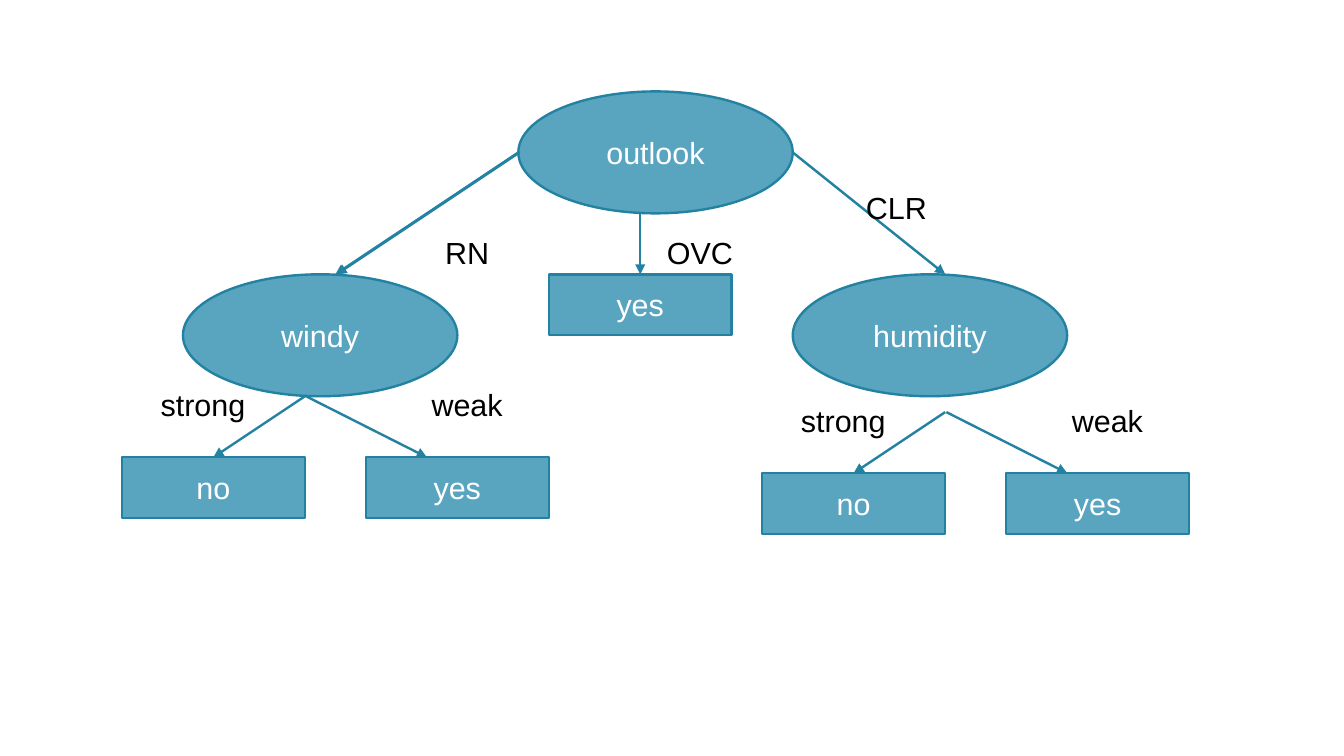
import dataclasses

import pptx
import pptx.dml.color
import pptx.enum.shapes
import pptx.enum.text
import pptx.oxml.ns
import pptx.util
from lxml import etree

FILL, EDGE, WHITE, BLACK = "59A5BF", "2382A1", "FFFFFF", "000000"
OVAL = pptx.enum.shapes.MSO_SHAPE.OVAL
RECT = pptx.enum.shapes.MSO_SHAPE.RECTANGLE
SIZES = {OVAL: (2.25, 1), RECT: (1.5, 0.5)}


# All tree positions are in inches
@dataclasses.dataclass
class Node:
    text: str
    kind: int
    left: float
    top: float


@dataclasses.dataclass
class Label:
    text: str
    left: float
    top: float
    width: float


@dataclasses.dataclass
class Arrow:
    x1: float
    y1: float
    x2: float
    y2: float


def size(inch: float) -> int:
    return pptx.util.Cm(inch * 2.54)


def color(code: str) -> pptx.dml.color.RGBColor:
    return pptx.dml.color.RGBColor.from_string(code)


def set_text(shape, text: str, code: str) -> None:
    frame = shape.text_frame
    frame.text = text
    frame.word_wrap = False
    para = frame.paragraphs[0]
    para.alignment = pptx.enum.text.PP_ALIGN.CENTER
    font = para.runs[0].font
    font.name = "Arial"
    font.size = pptx.util.Pt(18)
    font.color.rgb = color(code)


def set_line(shape) -> None:
    shape.line.color.rgb = color(EDGE)
    shape.line.width = pptx.util.Pt(1.42)


def draw_node(slide, node: Node) -> None:
    box = (node.left, node.top, *SIZES[node.kind])
    shape = slide.shapes.add_shape(node.kind, *map(size, box))
    shape.shadow.inherit = False
    shape.fill.solid()
    shape.fill.fore_color.rgb = color(FILL)
    set_line(shape)
    set_text(shape, node.text, WHITE)
    shape.text_frame.vertical_anchor = pptx.enum.text.MSO_ANCHOR.MIDDLE


def draw_label(slide, label: Label) -> None:
    box = (label.left, label.top, label.width, 0.38)
    shape = slide.shapes.add_textbox(*map(size, box))
    set_text(shape, label.text, BLACK)
    shape.text_frame.auto_size = pptx.enum.text.MSO_AUTO_SIZE.SHAPE_TO_FIT_TEXT


def draw_arrow(slide, arrow: Arrow) -> None:
    kind = pptx.enum.shapes.MSO_CONNECTOR.STRAIGHT
    ends = map(size, dataclasses.astuple(arrow))
    line = slide.shapes.add_connector(kind, *ends)
    set_line(line)
    qn = pptx.oxml.ns.qn
    props = line.element.spPr
    etree.SubElement(props.find(qn("a:ln")), qn("a:tailEnd"), type="triangle")
    etree.SubElement(props, qn("a:effectLst"))


def branch(dx: float, dy: float) -> list:
    """Return the two leaves below a test, with arrows and labels."""
    return [
        Arrow(2.5 + dx, 3.25 + dy, 1.75 + dx, 3.75 + dy),
        Arrow(2.51 + dx, 3.25 + dy, 3.5 + dx, 3.75 + dy),
        Node("no", RECT, 1 + dx, 3.75 + dy),
        Node("yes", RECT, 3 + dx, 3.75 + dy),
        Label("strong", 1.2 + dx, 3.12 + dy, 0.93),
        Label("weak", 3.42 + dx, 3.12 + dy, 0.82),
    ]


DRAW = {Node: draw_node, Label: draw_label, Arrow: draw_arrow}

# Root with its three outcomes
ROOT = [
    Node("outlook", OVAL, 4.25, 0.75),
    Node("yes", RECT, 4.5, 2.25),
    Arrow(5.25, 1.75, 5.25, 2.25),
    Label("OVC", 5.36, 1.87, 0.76),
    Arrow(4.25, 1.25, 2.75, 2.25),
    Node("windy", OVAL, 1.5, 2.25),
    Label("RN", 3.54, 1.87, 0.58),
    Node("humidity", OVAL, 6.5, 2.25),
    Arrow(6.5, 1.25, 7.75, 2.25),
    Arrow(4.26, 1.25, 2.76, 2.25),
    Label("CLR", 6.99, 1.5, 0.72),
]


def main() -> None:
    deck = pptx.Presentation()
    deck.slide_width, deck.slide_height = size(11.02), size(6.2)
    slide = deck.slides.add_slide(deck.slide_layouts[6])

    # Tree from the root down to the leaves
    for part in ROOT + branch(0, 0) + branch(5.25, 0.13):
        DRAW[type(part)](slide, part)

    deck.save("out.pptx")


if __name__ == "__main__":
    main()
